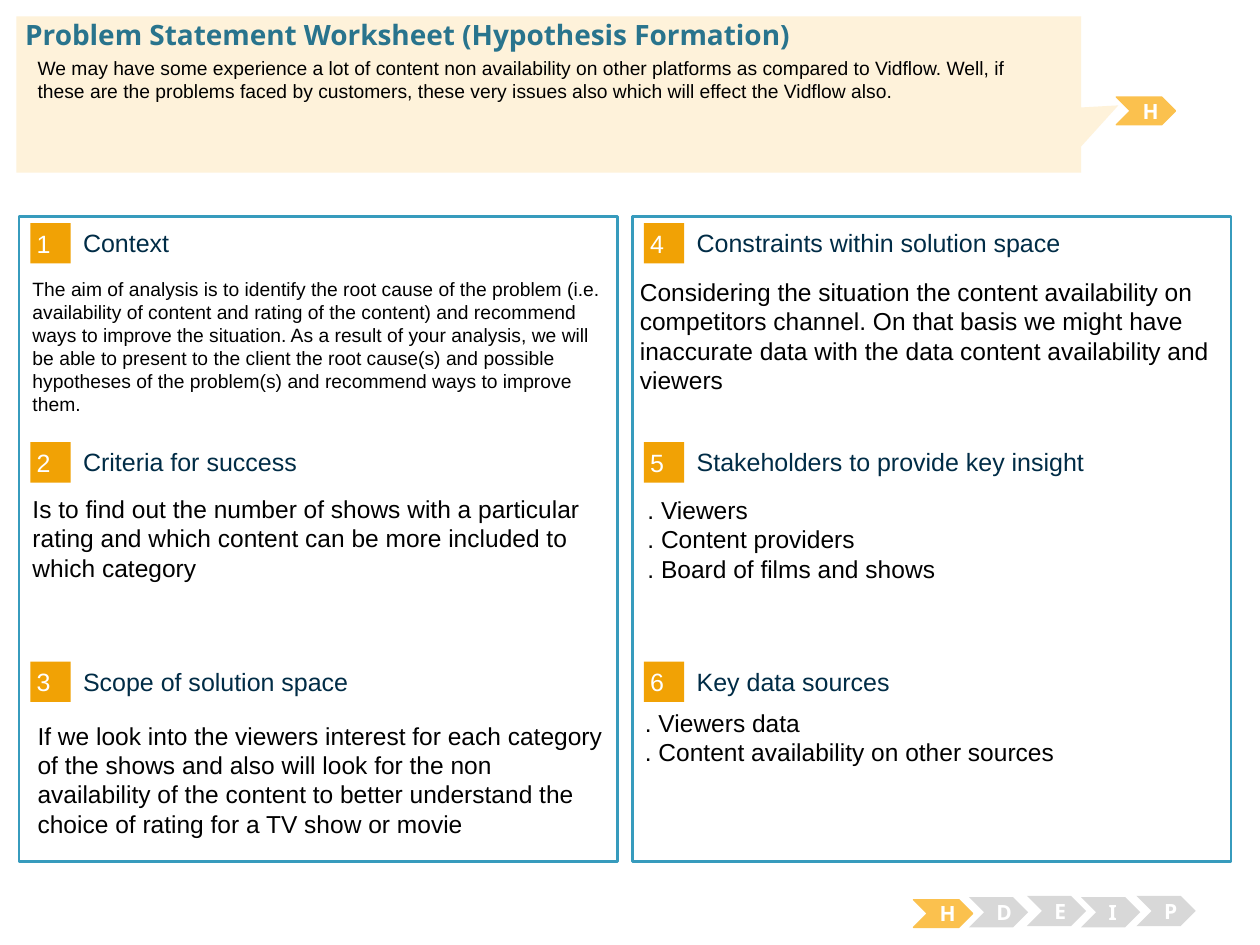
"""Build the problem statement worksheet slide."""
from pptx import Presentation
from pptx.dml.color import RGBColor
from pptx.enum.shapes import MSO_SHAPE
from pptx.enum.text import MSO_ANCHOR, PP_ALIGN
from pptx.util import Inches, Pt

WHITE = RGBColor(0xFF, 0xFF, 0xFF)
BLACK = RGBColor(0x00, 0x00, 0x00)
NAVY = RGBColor(0x00, 0x2C, 0x46)
TEAL = RGBColor(0x29, 0x74, 0x8D)
BLUE = RGBColor(0x37, 0x9B, 0xBD)
ORANGE = RGBColor(0xF1, 0xA2, 0x05)
AMBER = RGBColor(0xFB, 0xC1, 0x4E)
CREAM = RGBColor(0xFE, 0xF2, 0xDA)
GRAY = RGBColor(0xD8, 0xD8, 0xD8)

COLUMNS, ROWS = 100, 75
PANEL_PITCH, SECTION_PITCH = 48.7, 17.4
PADDING = (0.1, 0.05)

SECTIONS = [
    [("Context", 1.6, 21.5, 11,
      ["The aim of analysis is to identify the root cause of the problem (i.e. "
       "availability of content and rating of the content) and recommend ways to "
       "improve the situation. As a result of your analysis, we will be able to "
       "present to the client the root cause(s) and possible hypotheses of the "
       "problem(s) and recommend ways to improve them."]),
     ("Criteria for success", 1.6, 38.7, 14,
      ["Is to find out the number of shows with a particular rating and which "
       "content can be more included to which category"]),
     ("Scope of solution space", 2, 56.7, 14,
      ["If we look into the viewers interest for each category of the shows and "
       "also will look for the non availability of the content to better "
       "understand the choice of rating for a TV show or movie"])],
    [("Constraints within solution space", 49.8, 21.5, 14,
      ["Considering the situation the content availability on competitors "
       "channel. On that basis we might have inaccurate data with the data "
       "content availability and viewers"]),
     ("Stakeholders to provide key insight", 50.4, 38.8, 14,
      [". Viewers", ". Content providers", ". Board of films and shows"]),
     ("Key data sources", 50.2, 55.7, 14,
      [". Viewers data", ". Content availability on other sources"])],
]
INTRODUCTION = (
    "We may have some experience a lot of content non availability on other "
    "platforms as compared to Vidflow. Well, if these are the problems faced by "
    "customers, these very issues also which will effect the Vidflow also.")
STAGES = [("D", 76.9, 71.2), ("E", 81.5, 71.1), ("I", 85.8, 71.2), ("P", 90.2, 71.1)]


class Worksheet:
    """Hold the slide, its grid and its text style."""

    def __init__(self, presentation):
        """Add a blank slide and measure its grid."""
        self.slide = presentation.slides.add_slide(presentation.slide_layouts[6])
        self.cell_width = presentation.slide_width / COLUMNS
        self.cell_height = presentation.slide_height / ROWS

    def place(self, column, row, columns, rows):
        """Turn grid cells into slide lengths."""
        return (round(column * self.cell_width), round(row * self.cell_height),
                round(columns * self.cell_width), round(rows * self.cell_height))

    def set_text(self, shape, lines, size, color, font="Arial", bold=False,
                 align=PP_ALIGN.LEFT, anchor=MSO_ANCHOR.TOP, padding=PADDING):
        """Fill a shape with styled paragraphs."""
        frame = shape.text_frame
        frame.word_wrap = True
        frame.vertical_anchor = anchor
        frame.margin_left = frame.margin_right = Inches(padding[0])
        frame.margin_top = frame.margin_bottom = Inches(padding[1])
        frame.text = "\n".join(lines)
        for paragraph in frame.paragraphs:
            paragraph.alignment = align
            paragraph.font.name = font
            paragraph.font.size = Pt(size)
            paragraph.font.bold = bold
            paragraph.font.color.rgb = color

    def text(self, place, lines, size, color, **style):
        """Add a text box."""
        box = self.slide.shapes.add_textbox(*self.place(*place))
        self.set_text(box, lines, size, color, **style)

    def shape(self, kind, place, fill, line=None, line_width=0.75):
        """Add a flat preset shape."""
        shape = self.slide.shapes.add_shape(kind, *self.place(*place))
        shape.shadow.inherit = False
        shape.fill.solid()
        shape.fill.fore_color.rgb = fill
        if line is None:
            shape.line.fill.background()
        else:
            shape.line.color.rgb = line
            shape.line.width = Pt(line_width)
        return shape

    def section(self, number, column, row, heading):
        """Add a numbered badge and its heading."""
        badge = self.shape(MSO_SHAPE.RECTANGLE, (column, row, 3.2, 3.2), ORANGE)
        self.set_text(badge, [str(number)], 14.3, WHITE,
                      anchor=MSO_ANCHOR.MIDDLE, padding=(0.05, 0.05))
        self.text((column + 4.2, row + 0.3, 39.3, 2.5), [heading], 14.3, NAVY,
                  anchor=MSO_ANCHOR.MIDDLE, padding=(0, 0))

    def stage(self, letter, column, row, active=False):
        """Add a lettered chevron."""
        rows, fill, line = (2.2, AMBER, AMBER) if active else (2.4, GRAY, None)
        chevron = self.shape(MSO_SHAPE.CHEVRON, (column, row, 4.7, rows), fill, line)
        self.set_text(chevron, [letter], 12, WHITE, font="Noto Sans", bold=True,
                      align=PP_ALIGN.CENTER, anchor=MSO_ANCHOR.MIDDLE)

    def callout(self, place, tip):
        """Add a speech callout with its tip at shares from the centre."""
        callout = self.shape(MSO_SHAPE.RECTANGULAR_CALLOUT, place, CREAM)
        callout.adjustments[0], callout.adjustments[1] = tip


presentation = Presentation()
presentation.slide_width, presentation.slide_height = Inches(10), Inches(7.5)
worksheet = Worksheet(presentation)

for panel, sections in enumerate(SECTIONS):
    shift = panel * PANEL_PITCH
    worksheet.shape(MSO_SHAPE.RECTANGLE, (1.5 + shift, 17.2, 47.5, 51.2), WHITE, BLUE, 1.5)
    for index, (heading, column, row, size, lines) in enumerate(sections):
        worksheet.section(panel * len(sections) + index + 1, 2.4 + shift,
                          17.7 + index * SECTION_PITCH, heading)
        worksheet.text((column, row, 47.3, 11), lines, size, BLACK)

worksheet.stage("H", 72.5, 71.4, active=True)
for letter, column, row in STAGES:
    worksheet.stage(letter, column, row)

worksheet.stage("H", 88.6, 7.7, active=True)
worksheet.callout((1.3, 1.3, 84.5, 12.4), (0.535, 0.07))
worksheet.text((2, 1.4, 96.2, 3.4), ["Problem Statement Worksheet (Hypothesis Formation)"],
               16, TEAL, font="Noto Sans", bold=True, padding=(0, 0))
worksheet.text((2, 4, 82.7, 8.6), [INTRODUCTION], 11, BLACK)

presentation.save("out.pptx")
